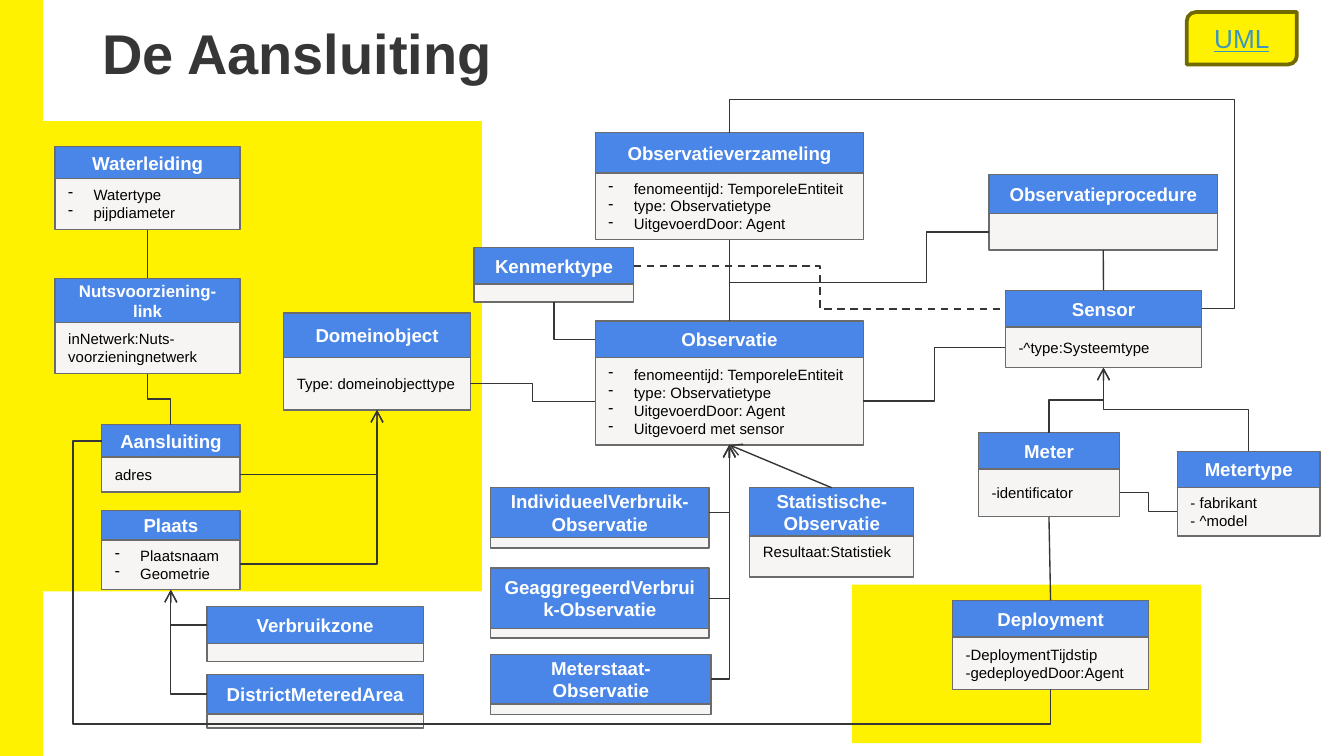
from lxml import etree
from pptx import Presentation
from pptx.dml.color import RGBColor
from pptx.enum.dml import MSO_LINE
from pptx.enum.shapes import MSO_CONNECTOR, MSO_SHAPE
from pptx.enum.text import MSO_ANCHOR, PP_ALIGN
from pptx.oxml.ns import qn
from pptx.util import Cm, Pt

YELLOW = RGBColor(0xFF, 0xF2, 0x00)
OLIVE = RGBColor(0x70, 0x6A, 0x00)
BLUE = RGBColor(0x4A, 0x86, 0xE8)
LINK_BLUE = RGBColor(0x3C, 0x96, 0xBE)
OFF_WHITE = RGBColor(0xF6, 0xF5, 0xF3)
GREY = RGBColor(0x6B, 0x6B, 0x6B)
DARK = RGBColor(0x37, 0x36, 0x36)
WHITE = RGBColor(0xFF, 0xFF, 0xFF)
BLACK = RGBColor(0x00, 0x00, 0x00)

RECTANGLE = MSO_SHAPE.RECTANGLE
ROUND_DIAGONAL = MSO_SHAPE.ROUND_2_DIAG_RECTANGLE
STRAIGHT = MSO_CONNECTOR.STRAIGHT
ELBOW = MSO_CONNECTOR.ELBOW
DASH = MSO_LINE.DASH
CENTER = PP_ALIGN.CENTER
LEFT_ALIGN = PP_ALIGN.LEFT
MIDDLE = MSO_ANCHOR.MIDDLE

FONT = "Arial"
TOP, LEFT, BOTTOM, RIGHT = range(4)
HEAD, BODY = 0, 1

BANDS = [(16.1, 11.05, 6.6, 3), (0.28, 2.29, 8.83, 8.89)]

CLASSES = [
    ("Waterleiding", "Watertype\npijpdiameter", 1.04, 3.5, 2.77, 0.61, 3.35, 0.99),
    ("Nutsvoorziening-link", "inNetwerk:Nuts-voorzieningnetwerk",
     1.04, 3.5, 5.26, 0.84, 6.07, 0.99),
    ("Plaats", "Plaatsnaam\nGeometrie", 1.92, 2.62, 9.65, 0.56, 10.18, 0.97),
    ("Aansluiting", "adres", 1.92, 2.62, 8.03, 0.61, 8.64, 0.66),
    ("Domeinobject", "Type: domeinobjecttype", 5.36, 3.53, 5.92, 0.84, 6.76, 0.99),
    ("Verbruikzone", "", 3.91, 4.09, 11.46, 0.71, 12.14, 0.36),
    ("DistrictMeteredArea", "", 3.91, 4.09, 12.75, 0.74, 13.51, 0.25),
    ("Observatie", "fenomeentijd: TemporeleEntiteit\ntype: Observatietype\n"
     "UitgevoerdDoor: Agent\nUitgevoerd met sensor", 11.25, 5.07, 6.07, 0.69, 6.76, 1.65),
    ("Observatieverzameling", "fenomeentijd: TemporeleEntiteit\ntype: Observatietype\n"
     "UitgevoerdDoor: Agent", 11.25, 5.07, 2.51, 0.76, 3.26, 1.27),
    ("IndividueelVerbruik-Observatie", "", 9.27, 4.13, 9.22, 0.94, 9.98, 0.38),
    ("GeaggregeerdVerbruik-Observatie", "", 9.27, 4.13, 10.74, 1.14, 11.68, 0.38),
    ("Meterstaat-\nObservatie", "", 9.27, 4.17, 12.37, 0.94, 13.13, 0.38),
    ("Sensor", "-^type:Systeemtype", 19, 3.71, 5.49, 0.69, 6.18, 0.77),
    ("Observatieprocedure", "", 18.69, 4.32, 3.3, 0.74, 4.04, 0.69),
    ("Meter", "-identificator", 18.49, 2.67, 8.18, 0.69, 8.86, 0.91),
    ("Metertype", "- fabrikant\n- ^model", 22.25, 2.7, 8.53, 0.69, 9.22, 0.91),
    ("Deployment", "-DeploymentTijdstip\n-gedeployedDoor:Agent",
     18, 3.71, 11.35, 0.69, 12.04, 0.99),
    ("Kenmerktype", "", 8.96, 3.02, 4.68, 0.69, 5.38, 0.33),
    ("Statistische-Observatie", "Resultaat:Statistiek", 14.17, 3.1, 9.22, 0.91, 9.93, 0.98),
]
BULLETED = {"Waterleiding", "Plaats", "Observatie", "Observatieverzameling"}
SMALL_TITLES = {"Nutsvoorziening-link"}

ASSOCIATIONS = [
    ("Waterleiding", BODY, BOTTOM, "Nutsvoorziening-link", HEAD, TOP),
    ("Observatieverzameling", BODY, BOTTOM, "Observatie", HEAD, TOP),
    ("Observatieprocedure", BODY, BOTTOM, "Sensor", HEAD, TOP),
    ("Deployment", HEAD, TOP, "Meter", BODY, BOTTOM),
    ("Aansluiting", HEAD, TOP, "Nutsvoorziening-link", BODY, BOTTOM),
    ("Observatie", HEAD, LEFT, "Kenmerktype", BODY, BOTTOM),
    ("Observatie", BODY, RIGHT, "Sensor", BODY, LEFT),
    ("Meter", BODY, RIGHT, "Metertype", BODY, LEFT),
    ("Domeinobject", BODY, RIGHT, "Observatie", BODY, LEFT),
    ("Observatie", HEAD, TOP, "Observatieprocedure", BODY, LEFT, (0.43, 0.76)),
    ("Observatieverzameling", HEAD, TOP, "Sensor", HEAD, RIGHT, (-0.19, 1.07)),
    ("Deployment", BODY, BOTTOM, "Aansluiting", HEAD, LEFT, (-0.14, 1.03)),
]
DEPENDENCY = ("Kenmerktype", HEAD, RIGHT, "Sensor", HEAD, LEFT)
SPECIALISATIONS = [
    ("Plaats", BODY, RIGHT, "Domeinobject", BODY, BOTTOM),
    ("Aansluiting", BODY, RIGHT, "Domeinobject", BODY, BOTTOM),
    ("Verbruikzone", HEAD, LEFT, "Plaats", BODY, BOTTOM),
    ("DistrictMeteredArea", HEAD, LEFT, "Plaats", BODY, BOTTOM),
    ("IndividueelVerbruik-Observatie", HEAD, RIGHT, "Observatie", BODY, BOTTOM),
    ("GeaggregeerdVerbruik-Observatie", HEAD, RIGHT, "Observatie", BODY, BOTTOM),
    ("Meterstaat-\nObservatie", HEAD, RIGHT, "Observatie", BODY, BOTTOM),
    ("Statistische-Observatie", HEAD, TOP, "Observatie", BODY, BOTTOM),
    ("Meter", HEAD, TOP, "Sensor", BODY, BOTTOM),
    ("Metertype", HEAD, TOP, "Sensor", BODY, BOTTOM),
]
STRAIGHT_PAIRS = {
    ("Waterleiding", "Nutsvoorziening-link"), ("Observatieverzameling", "Observatie"),
    ("Observatieprocedure", "Sensor"), ("Deployment", "Meter"),
    ("Statistische-Observatie", "Observatie"),
}


def add_box(shapes, box, fill, line=None, width=0.75, kind=RECTANGLE):
    shape = shapes.add_shape(kind, *(Cm(length) for length in box))
    shape.shadow.inherit = False
    shape.fill.solid()
    shape.fill.fore_color.rgb = fill
    if line is None:
        shape.line.fill.background()
    else:
        shape.line.color.rgb = line
        shape.line.width = Pt(width)
    return shape


def set_margins(text_frame, horizontal, vertical):
    text_frame.margin_left = text_frame.margin_right = Cm(horizontal)
    text_frame.margin_top = text_frame.margin_bottom = Cm(vertical)


def write_text(shape, text, size, color, alignment, bold=False, underline=False, bulleted=False):
    text_frame = shape.text_frame
    text_frame.word_wrap = True
    text_frame.text = text
    for paragraph in text_frame.paragraphs:
        paragraph.alignment = alignment
        if bulleted:
            add_bullet(paragraph)
        for run in paragraph.runs:
            run.font.name = FONT
            run.font.size = Pt(size)
            run.font.bold = bold
            run.font.underline = underline
            run.font.color.rgb = color


def add_bullet(paragraph):
    properties = paragraph._p.get_or_add_pPr()
    properties.set("marL", str(Cm(0.48)))
    properties.set("indent", str(-Cm(0.48)))
    color = etree.SubElement(properties, qn("a:buClr"))
    etree.SubElement(color, qn("a:srgbClr"), val=str(BLACK))
    etree.SubElement(properties, qn("a:buChar"), char="-")


def draw_title(slide, box):
    shape = slide.shapes.add_textbox(*(Cm(length) for length in box))
    set_margins(shape.text_frame, 0.18, 0.1)
    write_text(shape, "De Aansluiting", 30, DARK, LEFT_ALIGN, bold=True)


def draw_button(slide, box):
    shape = add_box(slide.shapes, box, YELLOW, OLIVE, 2, ROUND_DIAGONAL)
    shape.text_frame.vertical_anchor = MIDDLE
    write_text(shape, "UML", 14, LINK_BLUE, CENTER, underline=True)


def draw_class(slide, title, attributes, head_box, body_box):
    group = slide.shapes.add_group_shape()
    body = add_box(group.shapes, body_box, OFF_WHITE, GREY)
    head = add_box(group.shapes, head_box, BLUE, GREY)
    for shape in (head, body):
        set_margins(shape.text_frame, 0.25, 0.25)
        shape.text_frame.vertical_anchor = MIDDLE
    write_text(head, title, 9 if title in SMALL_TITLES else 10, WHITE, CENTER, bold=True)
    if attributes:
        write_text(body, attributes, 8, BLACK, LEFT_ALIGN, bulleted=title in BULLETED)
    return head, body


def bend(connector, start_side, end_side, fractions):
    begin_x, begin_y = connector.begin_x, connector.begin_y
    delta_x, delta_y = connector.end_x - begin_x, connector.end_y - begin_y
    vertical = start_side in (TOP, BOTTOM)
    width, height = abs(delta_x), abs(delta_y)
    flips = delta_x < 0, delta_y < 0
    if vertical:
        width, height = height, width
        flips = delta_y < 0, delta_x > 0
    connector.left = begin_x + (delta_x - width) // 2
    connector.top = begin_y + (delta_y - height) // 2
    connector.width, connector.height = width, height
    properties = connector._element.spPr
    transform = properties.find(qn("a:xfrm"))
    transform.set("rot", str(90 * 60000 if vertical else 0))
    for name, flipped in zip(("flipH", "flipV"), flips):
        transform.set(name, str(int(flipped)))
    parallel = vertical == (end_side in (TOP, BOTTOM))
    segments = 3 if parallel else 2 + len(fractions)
    geometry = properties.find(qn("a:prstGeom"))
    geometry.set("prst", f"bentConnector{segments}")
    adjustments = geometry.find(qn("a:avLst"))
    for number, fraction in enumerate(fractions, 1):
        etree.SubElement(adjustments, qn("a:gd"), name=f"adj{number}",
                         fmla=f"val {round(fraction * 100000)}")


def draw_relation(slide, classes, relation, arrow=False, dashed=False):
    source, source_part, start_side, target, target_part, end_side, *rest = relation
    straight = (source, target) in STRAIGHT_PAIRS
    connector = slide.shapes.add_connector(STRAIGHT if straight else ELBOW, 0, 0, 0, 0)
    connector.begin_connect(classes[source][source_part], start_side)
    connector.end_connect(classes[target][target_part], end_side)
    if not straight:
        bend(connector, start_side, end_side, rest[0] if rest else ())
    connector.line.color.rgb = DARK
    connector.line.width = Pt(1 if dashed else 0.75)
    if dashed:
        connector.line.dash_style = DASH
    if arrow:
        etree.SubElement(connector.line._get_or_add_ln(), qn("a:tailEnd"), type="arrow")
    etree.SubElement(connector._element.spPr, qn("a:effectLst"))


def draw_diagram(slide):
    classes = {}
    for title, attributes, left, width, head_top, head_height, body_top, body_height in CLASSES:
        classes[title] = draw_class(slide, title, attributes,
                                    (left, head_top, width, head_height),
                                    (left, body_top, width, body_height))
    for relation in ASSOCIATIONS:
        draw_relation(slide, classes, relation)
    for relation in SPECIALISATIONS:
        draw_relation(slide, classes, relation, arrow=True)
    draw_relation(slide, classes, DEPENDENCY, dashed=True)


def main():
    presentation = Presentation()
    presentation.slide_width, presentation.slide_height = Cm(25.4), Cm(14.29)
    slide = presentation.slides.add_slide(presentation.slide_layouts[6])
    add_box(slide.shapes, (0, 0, 0.79, 14.29), YELLOW, YELLOW, 1)
    for box in BANDS:
        add_box(slide.shapes, box, YELLOW)
    draw_title(slide, (1.75, 0.25, 21.18, 1.52))
    draw_diagram(slide)
    draw_button(slide, (22.43, 0.23, 2.08, 0.99))
    presentation.save("out.pptx")


if __name__ == "__main__":
    main()
